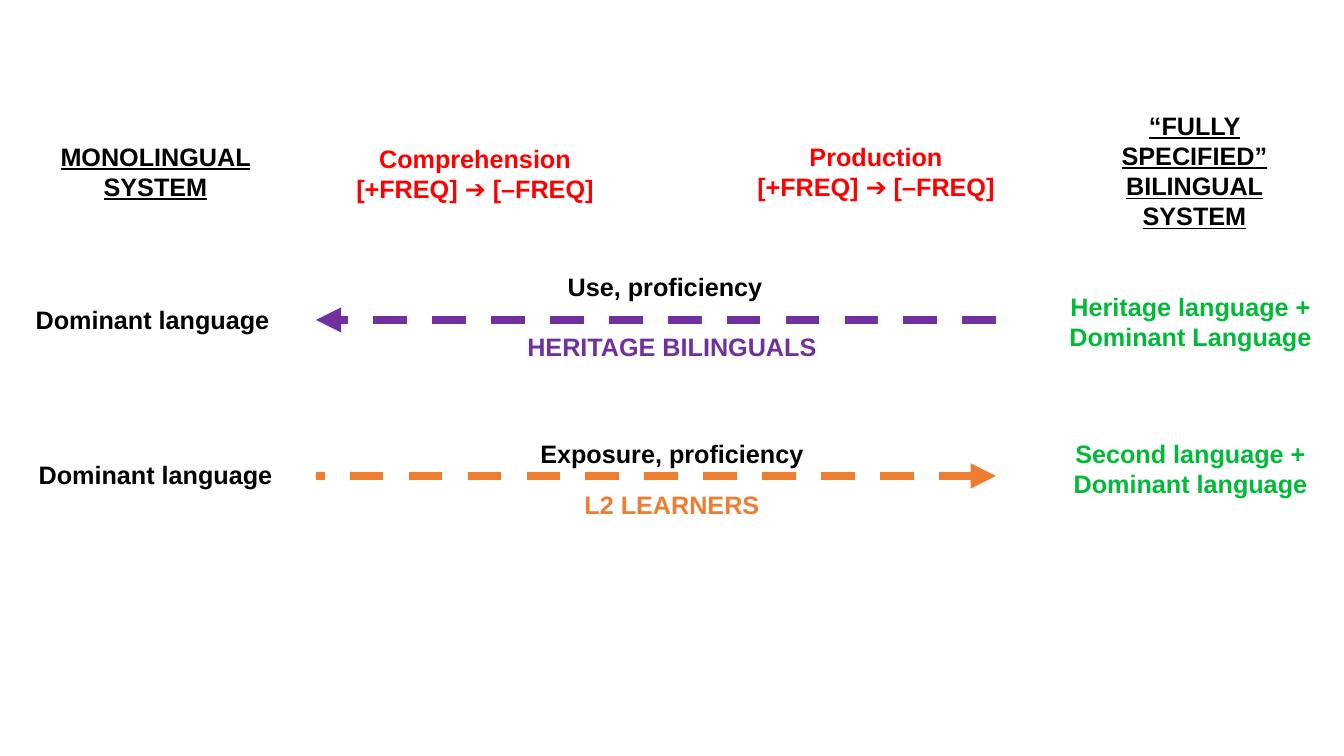
from dataclasses import dataclass

from lxml.etree import SubElement
from pptx import Presentation
from pptx.dml.color import RGBColor
from pptx.enum.dml import MSO_LINE_DASH_STYLE as DASH
from pptx.enum.shapes import MSO_CONNECTOR as CONNECTOR
from pptx.enum.text import MSO_AUTO_SIZE as AUTO_SIZE, PP_ALIGN as ALIGN
from pptx.oxml.ns import qn
from pptx.util import Emu, Pt


@dataclass(frozen=True)
class Theme:
    """Colours, font and sizes of the slide."""
    font: str = "Arial"
    text_size: int = 18
    line_width: int = 6
    black: str = "000000"
    red: str = "FF0000"
    green: str = "00BA38"
    purple: str = "7030A0"
    orange: str = "ED7D31"


theme = Theme()
EMU_PER_PIXEL = 914400 / 100.8
LINE_HEIGHT, PADDING = 30, 10


def pixels(*lengths):
    """Turn pixel lengths into EMU."""
    return [Emu(round(length * EMU_PER_PIXEL)) for length in lengths]


def add_text(text, left, top, width, lines=1, color=theme.black, underline=None):
    """Add a centred bold text box; each newline starts a paragraph."""
    height = lines * LINE_HEIGHT + PADDING
    shape = slide.shapes.add_textbox(*pixels(left, top, width, height))
    frame = shape.text_frame
    frame.word_wrap = True
    frame.auto_size = AUTO_SIZE.SHAPE_TO_FIT_TEXT
    frame.text = text
    for paragraph in frame.paragraphs:
        paragraph.alignment = ALIGN.CENTER
        font = paragraph.runs[0].font
        font.name, font.size = theme.font, Pt(theme.text_size)
        font.bold, font.underline = True, underline
        font.color.rgb = RGBColor.from_string(color)


presentation = Presentation()
presentation.slide_width, presentation.slide_height = pixels(1344, 756)
slide = presentation.slides.add_slide(presentation.slide_layouts[6])

# Headings of the two end systems
add_text("MONOLINGUAL SYSTEM", 42, 136, 227, lines=2, underline=True)
add_text("“FULLY SPECIFIED” BILINGUAL SYSTEM", 1081, 105, 227, lines=4, underline=True)

# Frequency effects
for skill, left, top in [("Comprehension", 316, 138), ("Production", 717, 136)]:
    add_text(f"{skill}\n[+FREQ] ➔ [–FREQ]", left, top, 318, lines=2, color=theme.red)

# Dashed arrows, both running right to left; the arrowhead end sets the direction
for y, color, arrow_end in [(320, theme.purple, "a:tailEnd"), (476, theme.orange, "a:headEnd")]:
    arrow = slide.shapes.add_connector(CONNECTOR.STRAIGHT, *pixels(996, y, 316, y))
    arrow.line.color.rgb = RGBColor.from_string(color)
    arrow.line.width = Pt(theme.line_width)
    arrow.line.dash_style = DASH.DASH
    SubElement(arrow.line._get_or_add_ln(), qn(arrow_end), type="triangle")
    SubElement(arrow._element.spPr, qn("a:effectLst"))

# Labels above and below the arrows
add_text("Use, proficiency", 493, 266, 344)
add_text("HERITAGE BILINGUALS", 500, 326, 344, color=theme.purple)
add_text("Exposure, proficiency", 500, 433, 344)
add_text("L2 LEARNERS", 500, 484, 344, color=theme.orange)

# Languages at the ends of the arrows
for left, top in [(21, 299), (24, 454)]:
    add_text("Dominant language", left, top, 263)
for text, top in [("Heritage language + Dominant Language", 286),
                  ("Second language +\nDominant language", 433)]:
    add_text(text, 1059, top, 263, lines=2, color=theme.green)

presentation.save("out.pptx")
